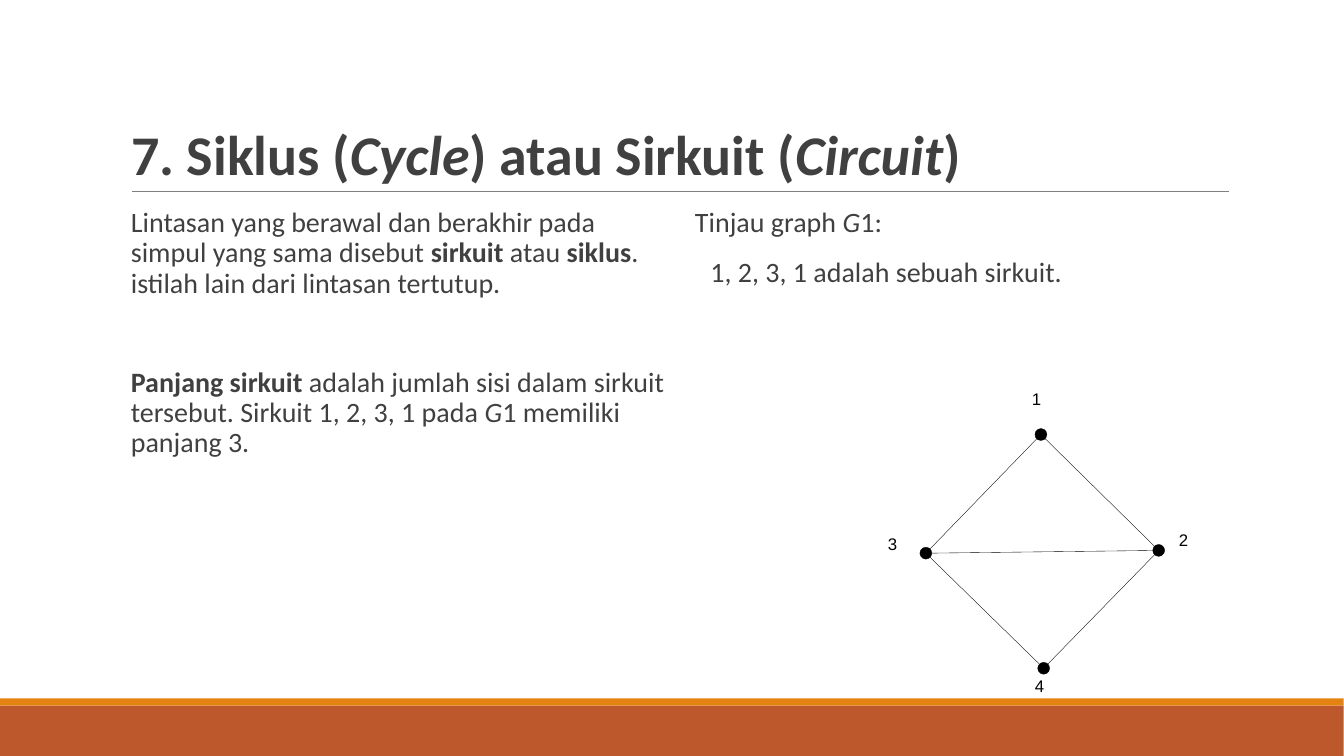
from lxml import etree
from pptx import Presentation
from pptx.dml.color import RGBColor
from pptx.enum.shapes import MSO_CONNECTOR, MSO_SHAPE
from pptx.enum.text import MSO_ANCHOR, MSO_AUTO_SIZE, PP_ALIGN
from pptx.oxml.ns import qn
from pptx.util import Cm, Pt

COLORS = {"rust": "BD582C", "orange": "E48312", "rule": "7F7F7F",
          "text": "404040", "graph": "000000"}


def add_line(start, end, color, width):
    line = slide.shapes.add_connector(
        MSO_CONNECTOR.STRAIGHT, *[Cm(value) for value in (*start, *end)])
    line.line.color.rgb = RGBColor.from_string(COLORS[color])
    line.line.width = Pt(width)
    etree.SubElement(line._element.spPr, qn("a:effectLst"))


def write_runs(paragraph, pieces, size, color="text", font="Calibri"):
    for text, style in pieces:
        run = paragraph.add_run()
        run.text = text
        run.font.name = font
        run.font.size = Pt(size)
        run.font.bold = "b" in style
        run.font.italic = "i" in style
        run.font.color.rgb = RGBColor.from_string(COLORS[color])


prs = Presentation()
prs.slide_width, prs.slide_height = Cm(33.88), Cm(19.05)
slide = prs.slides.add_slide(prs.slide_layouts[5])

for top, height, color in [(17.78, 1.27, "rust"), (17.6, 0.18, "orange")]:
    band = slide.shapes.add_shape(
        MSO_SHAPE.RECTANGLE, 0, Cm(top), Cm(33.87), Cm(height))
    band.shadow.inherit = False
    band.fill.solid()
    band.fill.fore_color.rgb = RGBColor.from_string(COLORS[color])
    band.line.fill.background()
add_line((3.33, 4.83), (30.99, 4.83), "rule", 0.5)

title = slide.shapes.title
title.left, title.top, title.width, title.height = Cm(3.05), Cm(0.79), Cm(27.94), Cm(4.04)
heading = title.text_frame
heading.auto_size = MSO_AUTO_SIZE.NONE
heading.vertical_anchor = MSO_ANCHOR.BOTTOM
heading.paragraphs[0].alignment = PP_ALIGN.LEFT
heading.paragraphs[0].line_spacing = 0.85
write_runs(heading.paragraphs[0], [
    ("7. Siklus (", "b"), ("Cycle", "bi"), (") atau Sirkuit (", "b"),
    ("Circuit", "bi"), (")", "b")], 40)

definitions = [
    (0, 0.25, [
        ("Lintasan yang berawal dan berakhir pada simpul yang sama disebut ", ""),
        ("sirkuit", "b"), (" atau ", ""), ("siklus", "b"),
        (". istilah lain dari lintasan tertutup.", "")]),
    (47, 0.25, [
        ("Panjang sirkuit", "b"),
        (" adalah jumlah sisi dalam sirkuit tersebut. Sirkuit 1, 2, 3, 1 pada ", ""),
        ("G", "i"), ("1 memiliki panjang 3.", "")]),
]
example = [
    (0, 0.25, [("Tinjau graph ", ""), ("G", "i"), ("1:", "")]),
    (12, 0.64, [("1, 2, 3, 1 adalah sebuah sirkuit.", "")]),
]
for left, content in [(3.05, definitions), (17.27, example)]:
    column = slide.shapes.add_textbox(Cm(left), Cm(5.13), Cm(13.72), Cm(11.18)).text_frame
    column.word_wrap = True
    column.margin_right = 0
    column.margin_left = 0
    for index, (gap, indent, pieces) in enumerate(content):
        paragraph = column.add_paragraph() if index else column.paragraphs[0]
        paragraph.line_spacing = 0.9
        paragraph.space_before = Pt(gap)
        paragraph.space_after = Pt(2)
        properties = paragraph._p.get_or_add_pPr()
        properties.set("marL", str(Cm(indent)))
        properties.set("indent", "0")
        write_runs(paragraph, pieces, 20)

vertices = {
    "1": ((26.24, 10.95), (26.01, 9.8)),
    "2": ((29.21, 13.87), (29.72, 13.36)),
    "3": ((23.34, 13.94), (22.38, 13.46)),
    "4": ((26.31, 16.84), (26.09, 17.02)),
}
for start, end in ["12", "24", "13", "34", "23"]:
    add_line(vertices[start][0], vertices[end][0], "graph", 0.25)

radius = 0.15
for number, ((x, y), (label_left, label_top)) in vertices.items():
    vertex = slide.shapes.add_shape(
        MSO_SHAPE.OVAL, Cm(x - radius), Cm(y - radius), Cm(2 * radius), Cm(2 * radius))
    vertex.shadow.inherit = False
    vertex.fill.solid()
    vertex.fill.fore_color.rgb = RGBColor.from_string(COLORS["graph"])
    vertex.line.color.rgb = RGBColor.from_string(COLORS["graph"])
    vertex.line.width = Pt(0.25)

    label = slide.shapes.add_textbox(
        Cm(label_left), Cm(label_top), Cm(0.46), Cm(0.74)).text_frame
    label.word_wrap = True
    label.margin_left = label.margin_right = label.margin_top = label.margin_bottom = 0
    write_runs(label.paragraphs[0], [(number, "")], 12, "graph", "Arial")

prs.save("out.pptx")
